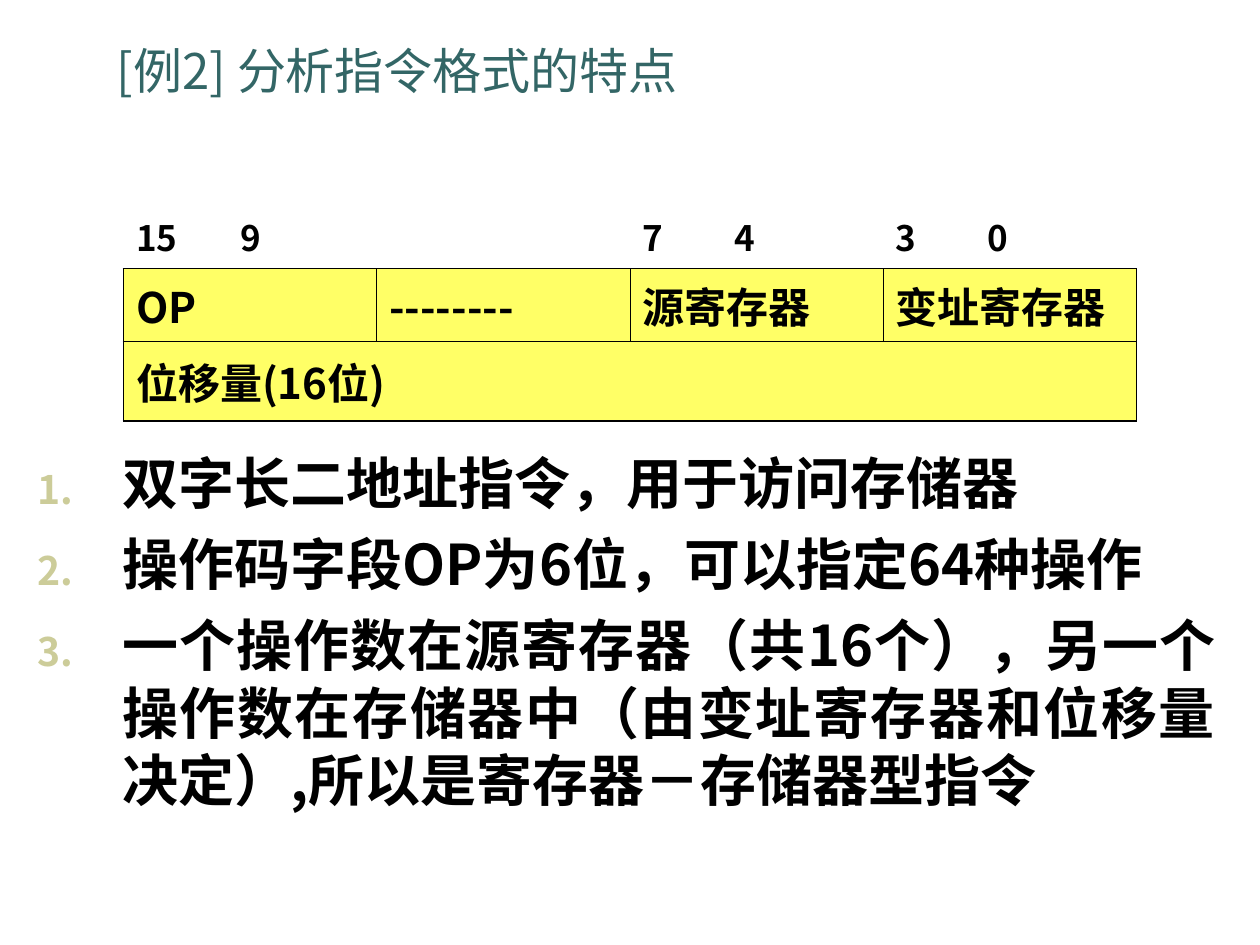
from lxml import etree
from pptx import Presentation
from pptx.dml.color import RGBColor
from pptx.enum.text import MSO_ANCHOR, PP_ALIGN
from pptx.oxml.ns import qn
from pptx.util import Inches, Pt

FONT = "Noto Sans CJK SC"
TEAL = RGBColor(0x33, 0x66, 0x66)
BLACK = RGBColor(0x00, 0x00, 0x00)
YELLOW = RGBColor(0xFF, 0xFF, 0x66)
OLIVE = RGBColor(0xCC, 0xCC, 0x99)

THIN, THICK = 0.45, 1.08

BIT_RANGES = [("15\t9", 0.83), ("", 0), ("7\t4", 0.73), ("3\t0", 0.73)]
FIELDS = ["OP", "--------", "源寄存器", "变址寄存器"]
FEATURES = [
    "双字长二地址指令，用于访问存储器",
    "操作码字段OP为6位，可以指定64种操作",
    "一个操作数在源寄存器（共16个），另一个操作数在存储器中"
    "（由变址寄存器和位移量决定）,所以是寄存器－存储器型指令",
]


def add_child(parent, tag, **attributes):
    return etree.SubElement(parent, qn(tag), attributes)


def style_paragraph(paragraph, size, color, bold=False):
    font = paragraph.font
    font.name, font.size, font.bold = FONT, Pt(size), bold
    font.color.rgb = color
    latin = font._element.find(qn("a:latin"))
    latin.addnext(etree.Element(qn("a:ea"), typeface=FONT))


def add_text_frame(slide, left, top, width, height, anchor):
    frame = slide.shapes.add_textbox(
        Inches(left), Inches(top), Inches(width), Inches(height)).text_frame
    frame.word_wrap = True
    frame.vertical_anchor = anchor
    return frame


def add_title(slide, title):
    frame = add_text_frame(slide, 0.83, 0.27, 8.42, 0.57, MSO_ANCHOR.BOTTOM)
    frame.text = title
    style_paragraph(frame.paragraphs[0], 28, TEAL)


def number_paragraph(paragraph):
    properties = paragraph._p.get_or_add_pPr()
    properties.set("marL", str(Inches(0.67)))
    properties.set("indent", str(-Inches(0.67)))
    bullet_color = add_child(properties, "a:buClr")
    add_child(bullet_color, "a:srgbClr", val=str(OLIVE))
    add_child(properties, "a:buSzPct", val="70000")
    add_child(properties, "a:buAutoNum", type="arabicPeriod")


def add_features(slide, features):
    frame = add_text_frame(slide, 0.2, 3.51, 9.55, 3.54, MSO_ANCHOR.TOP)
    for index, feature in enumerate(features):
        paragraph = frame.add_paragraph() if index else frame.paragraphs[0]
        paragraph.text = feature
        number_paragraph(paragraph)
        paragraph.alignment = PP_ALIGN.JUSTIFY
        if index:
            paragraph.space_before = Pt(8)
        style_paragraph(paragraph, 32, BLACK, bold=True)


def set_borders(cell, **widths):
    """Draw the named sides (L, R, T, B) and clear the others."""
    properties = cell._tc.get_or_add_tcPr()
    for position, side in enumerate("LRTB"):
        width = widths.get(side, 0)
        line = etree.Element(qn(f"a:ln{side}"), w=str(Pt(width)))
        if width:
            fill = add_child(line, "a:solidFill")
            add_child(fill, "a:srgbClr", val=str(BLACK))
        else:
            add_child(line, "a:noFill")
        properties.insert(position, line)


def fill_cell(cell, label, size, tab=0, bottom=0.09):
    cell.vertical_anchor = MSO_ANCHOR.MIDDLE
    cell.margin_bottom = Inches(bottom)
    paragraph = cell.text_frame.paragraphs[0]
    paragraph.text = label
    paragraph.alignment = PP_ALIGN.JUSTIFY
    if tab:
        stops = add_child(paragraph._p.get_or_add_pPr(), "a:tabLst")
        add_child(stops, "a:tab", pos=str(Inches(tab)), algn="l")
    style_paragraph(paragraph, size, BLACK, bold=True)


def add_instruction_format(slide):
    table = slide.shapes.add_table(
        3, 4, Inches(0.98), Inches(1.62), Inches(8.04), Inches(1.72)).table
    table.first_row = table.horz_banding = False
    for column in table.columns:
        column.width = Inches(2.01)
    for row, height in zip(table.rows, (0.51, 0.58, 0.63)):
        row.height = Inches(height)

    # Bit numbers above the fields
    for column, (bits, tab) in enumerate(BIT_RANGES):
        cell = table.cell(0, column)
        fill_cell(cell, bits, 20, tab)
        cell.fill.background()
        set_borders(cell, B=THIN)

    # Fields of the first word
    last = len(FIELDS) - 1
    for column, field in enumerate(FIELDS):
        cell = table.cell(1, column)
        fill_cell(cell, field, 24)
        cell.fill.solid()
        cell.fill.fore_color.rgb = YELLOW
        set_borders(cell, T=THIN, B=THIN,
                    L=THIN if column else THICK,
                    R=THICK if column == last else THIN)

    # Second word: displacement across all columns
    displacement = table.cell(2, 0)
    displacement.merge(table.cell(2, last))
    fill_cell(displacement, "位移量(16位)", 24, bottom=0.05)
    for column in range(len(FIELDS)):
        cell = table.cell(2, column)
        cell.fill.solid()
        cell.fill.fore_color.rgb = YELLOW
        set_borders(cell, L=THICK, T=THIN, R=THICK, B=THICK)


def main():
    presentation = Presentation()
    presentation.slide_width = Inches(10)
    presentation.slide_height = Inches(7.5)
    slide = presentation.slides.add_slide(presentation.slide_layouts[6])
    add_title(slide, "[例2] 分析指令格式的特点")
    add_features(slide, FEATURES)
    add_instruction_format(slide)
    presentation.save("out.pptx")


if __name__ == "__main__":
    main()
